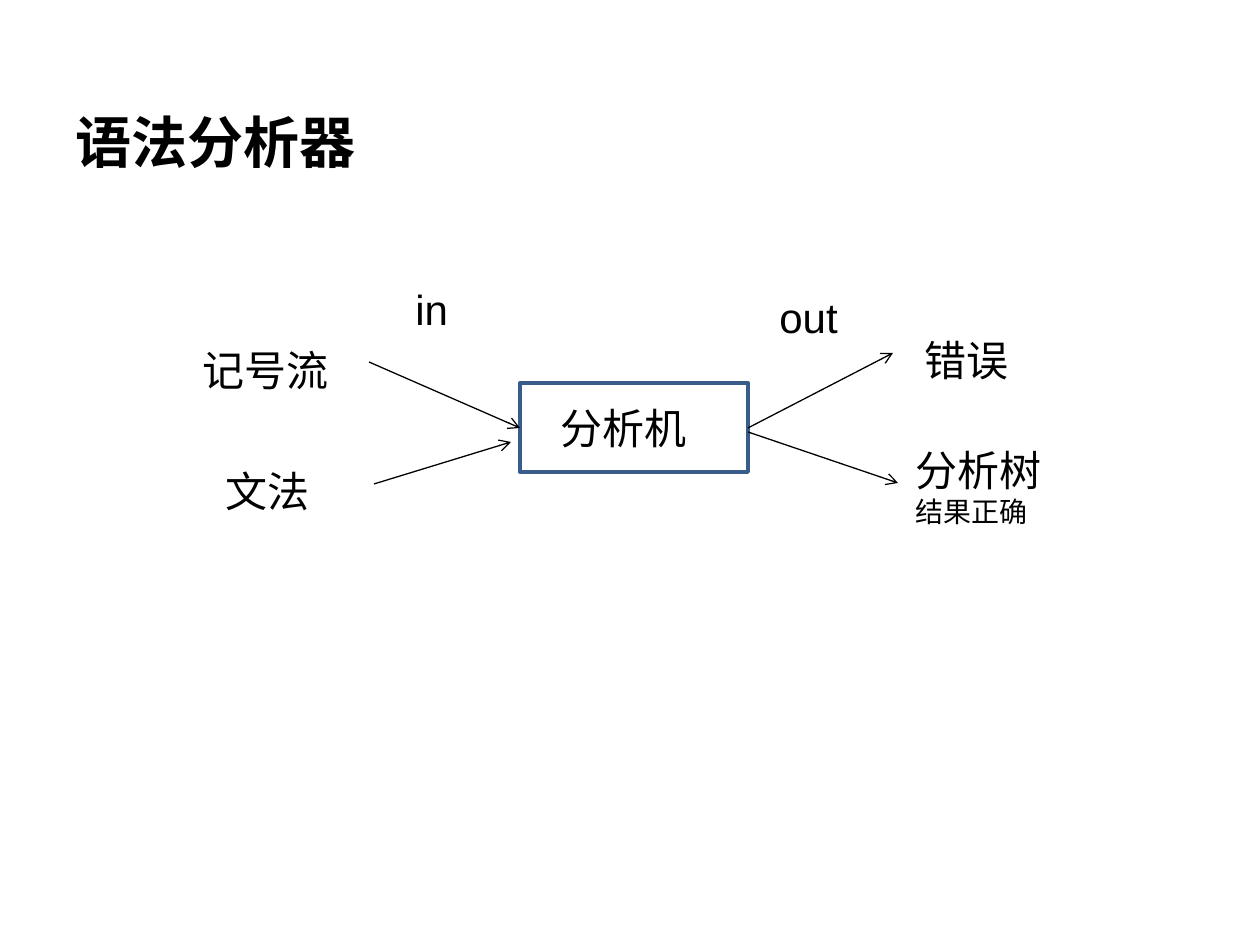
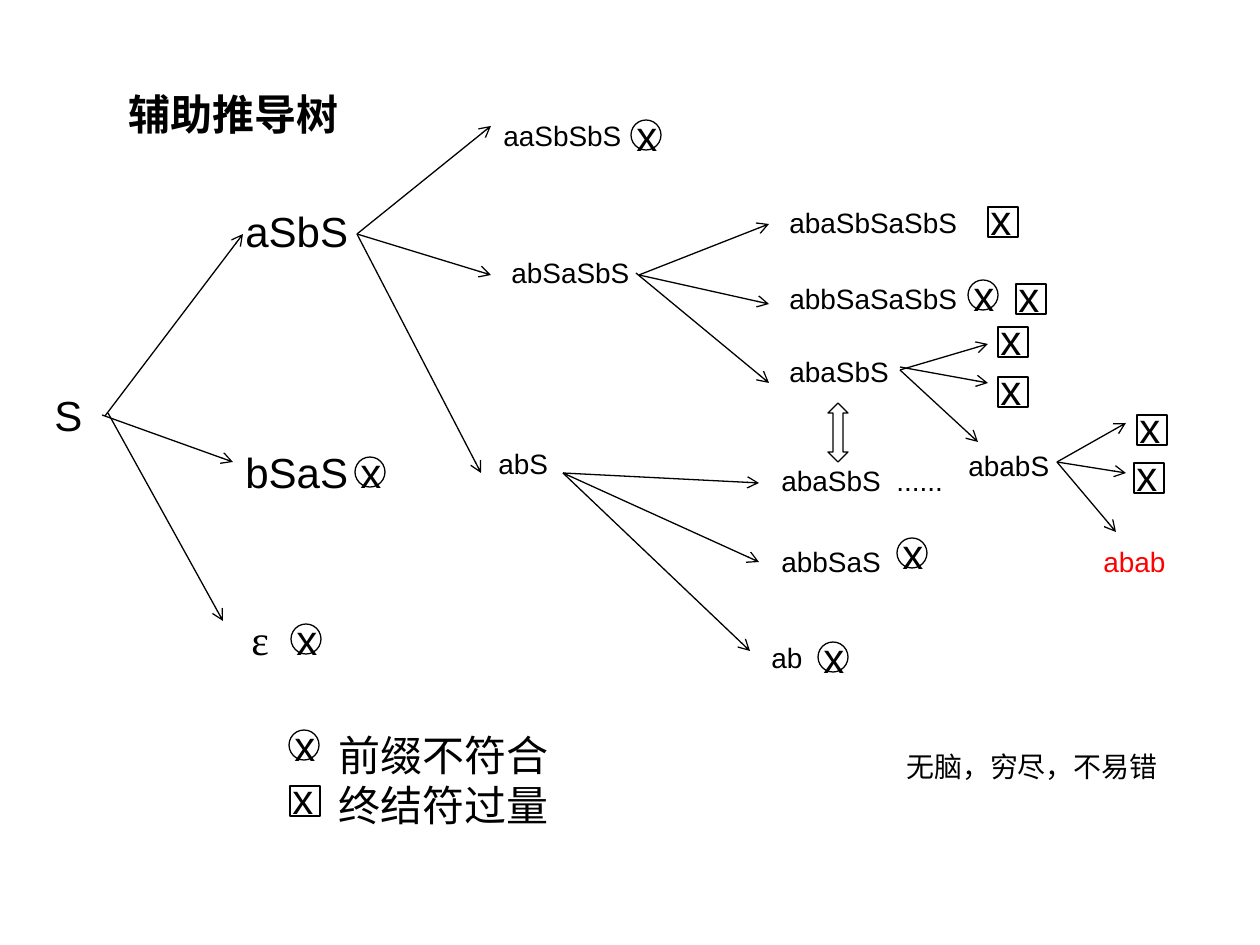
from lxml import etree
from pptx import Presentation
from pptx.dml.color import RGBColor
from pptx.enum.shapes import MSO_CONNECTOR, MSO_SHAPE
from pptx.enum.text import MSO_ANCHOR
from pptx.oxml.ns import qn
from pptx.util import Emu, Pt

STRAIGHT = MSO_CONNECTOR.STRAIGHT
RECTANGLE = MSO_SHAPE.RECTANGLE
OVAL = MSO_SHAPE.OVAL
UP_DOWN_ARROW = MSO_SHAPE.UP_DOWN_ARROW
MIDDLE = MSO_ANCHOR.MIDDLE
TOP = MSO_ANCHOR.TOP

EMU_PER_PX = 914400 / 126
LATIN_FONT = "Arial"
CHINESE_FONT = "Noto Sans CJK SC"
SYMBOL_FONT = "Times New Roman"
BLACK = "000000"
RED = "FF0000"
BOX_BLUE = "385D8A"
LARGE, SMALL = 24, 16
MARK_SIZE = 30
# Shift from a mark's outline to the text box of its x
MARK_TEXT_SHIFT = {OVAL: (-7, -17), RECTANGLE: (-10, -20)}


def px(length):
    return Emu(round(length * EMU_PER_PX))


def color(hex_string):
    return RGBColor.from_string(hex_string)


def add_text(slide, text, left, top, width, height=63, *, size=LARGE, font=LATIN_FONT,
             fill=BLACK, bold=False, anchor=TOP, line_sizes=None):
    """Add a text box; line_sizes gives each line its own size."""
    box = slide.shapes.add_textbox(px(left), px(top), px(width), px(height))
    frame = box.text_frame
    frame.word_wrap = True
    frame.vertical_anchor = anchor
    frame.text = text
    sizes = line_sizes or [size] * len(frame.paragraphs)
    for paragraph, line_size in zip(frame.paragraphs, sizes):
        for run in paragraph.runs:
            run.font.name = font
            run.font.size = Pt(line_size)
            run.font.bold = bold
            run.font.color.rgb = color(fill)
            east_asian = etree.SubElement(run.font._element, qn("a:ea"))
            east_asian.set("typeface", CHINESE_FONT)


def add_outline(slide, kind, left, top, width, height, line=BLACK, weight=0.75):
    shape = slide.shapes.add_shape(kind, px(left), px(top), px(width), px(height))
    shape.shadow.inherit = False
    shape.fill.background()
    shape.line.color.rgb = color(line)
    shape.line.width = Pt(weight)
    return shape


def add_arrow(slide, start, end):
    arrow = slide.shapes.add_connector(STRAIGHT, *map(px, start + end))
    arrow.line.color.rgb = color(BLACK)
    arrow.line.width = Pt(0.75)
    etree.SubElement(arrow.line._get_or_add_ln(), qn("a:tailEnd"), type="arrow")
    etree.SubElement(arrow._element.spPr, qn("a:effectLst"))


def add_fan(slide, start, *ends):
    for end in ends:
        add_arrow(slide, start, end)


def add_mark(slide, kind, left, top):
    """Add an x in a circle (wrong prefix) or a square (too many terminals)."""
    add_outline(slide, kind, left, top, MARK_SIZE, MARK_SIZE)
    shift_x, shift_y = MARK_TEXT_SHIFT[kind]
    add_text(slide, "x", left + shift_x, top + shift_y, 44)


def build_parser_slide(slide):
    add_text(slide, "语法分析器", 63, 88, 1134, 107, size=32, font=CHINESE_FONT,
             bold=True, anchor=MIDDLE)
    add_outline(slide, RECTANGLE, 520, 383, 228, 89, line=BOX_BLUE, weight=2.25)

    add_arrow(slide, (369, 362), (520, 428))
    add_arrow(slide, (374, 484), (511, 442))
    add_arrow(slide, (748, 428), (893, 353))
    add_arrow(slide, (748, 432), (898, 483))

    for label, left, top, width in [
        ("分析机", 548, 396, 227),
        ("记号流", 190, 338, 173),
        ("文法", 213, 459, 149),
        ("错误", 912, 328, 165),
        ("in", 403, 277, 97),
        ("out", 767, 285, 209),
    ]:
        add_text(slide, label, left, top, width)
    add_text(slide, "分析树\n结果正确", 903, 438, 224, 97, line_sizes=[LARGE, SMALL])


def build_derivation_slide(slide):
    add_text(slide, "辅助推导树", 116, 82, 286, bold=True)

    add_arrow(slide, (105, 416), (243, 234))
    add_arrow(slide, (102, 415), (233, 462))
    add_arrow(slide, (108, 413), (223, 621))
    add_fan(slide, (357, 234), (491, 126), (491, 275), (481, 473))
    add_fan(slide, (639, 275), (769, 224), (769, 304))
    add_arrow(slide, (636, 273), (769, 383))
    add_fan(slide, (563, 473), (759, 483), (759, 562), (750, 651))
    add_fan(slide, (900, 370), (988, 344), (978, 442))
    add_arrow(slide, (900, 367), (988, 383))
    add_fan(slide, (1057, 462), (1126, 423), (1126, 473), (1116, 532))

    for label, left, top in [("S", 42, 383), ("aSbS", 233, 199), ("bSaS", 233, 440)]:
        add_text(slide, label, left, top, 175)
    add_text(slide, "ε", 239, 607, 132, font=SYMBOL_FONT)

    for label, left, top in [
        ("aaSbSbS", 491, 112),
        ("abSaSbS", 499, 249),
        ("abS", 486, 440),
        ("abaSbSaSbS", 777, 199),
        ("abbSaSaSbS", 777, 275),
        ("abaSbS", 777, 348),
        ("abaSbS", 769, 457),
        ("......", 884, 457),
        ("abbSaS", 769, 538),
        ("ab", 759, 634),
        ("ababS", 956, 442),
    ]:
        add_text(slide, label, left, top, 236, 47, size=SMALL)
    add_text(slide, "abab", 1091, 538, 102, 47, size=SMALL, fill=RED)

    double_arrow = add_outline(slide, UP_DOWN_ARROW, 828, 403, 20, 59)
    double_arrow.adjustments[0] = 0.5
    double_arrow.adjustments[1] = 0.5

    marks = {
        OVAL: [(631, 120), (968, 280), (355, 457), (291, 624), (897, 538),
               (818, 642), (289, 730)],
        RECTANGLE: [(988, 207), (1016, 284), (998, 327), (998, 377), (1137, 415),
                    (1134, 463), (290, 786)],
    }
    for kind, places in marks.items():
        for left, top in places:
            add_mark(slide, kind, left, top)

    add_text(slide, "前缀不符合\n终结符过量", 326, 723, 362, 113)
    add_text(slide, "无脑，穷尽，不易错", 894, 743, 319, 47, size=SMALL, font=CHINESE_FONT)


def main():
    presentation = Presentation()
    presentation.slide_width = px(1260)
    presentation.slide_height = px(945)
    blank = presentation.slide_layouts[6]
    for build in (build_parser_slide, build_derivation_slide):
        build(presentation.slides.add_slide(blank))
    presentation.save("out.pptx")


if __name__ == "__main__":
    main()
